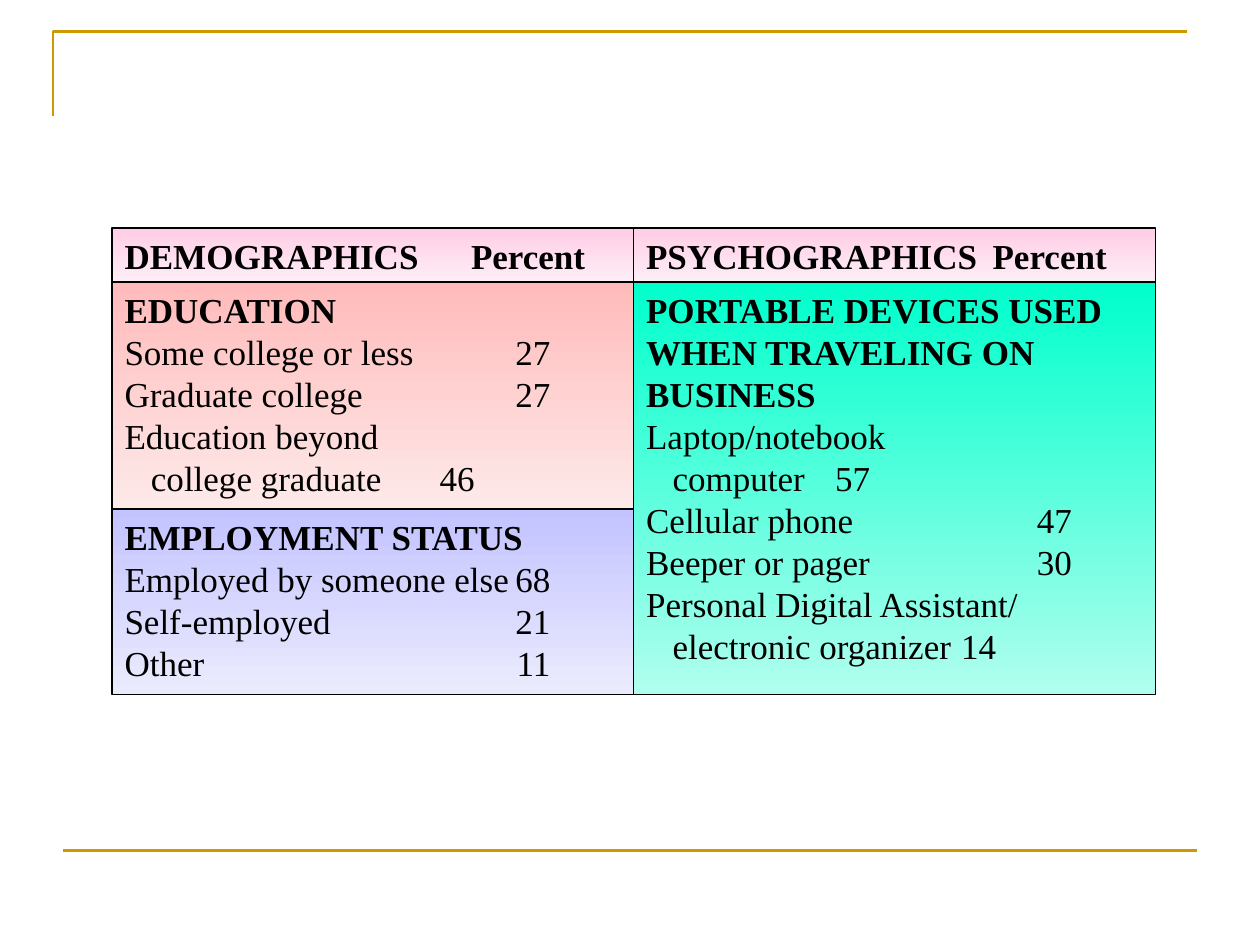
from lxml import etree
from pptx import Presentation
from pptx.dml.color import RGBColor
from pptx.enum.shapes import MSO_CONNECTOR, MSO_SHAPE
from pptx.enum.text import MSO_ANCHOR, PP_ALIGN
from pptx.oxml.ns import qn
from pptx.util import Inches, Pt

RECT, LINE = MSO_SHAPE.RECTANGLE, MSO_CONNECTOR.STRAIGHT
TOP, LEFT = MSO_ANCHOR.TOP, PP_ALIGN.LEFT
FONT, GOLD, BLACK = "Times New Roman", "CC9900", "000000"
HEAD_TAB, ROW_TAB = (2.75, "l"), (3.38, "r")
INDENT = 0.21
PINK = ("FFCDE6", "FEEEF6")

# Rows are (label, percent, indented)
SCHOOL = [("Some college or less", 27, False), ("Graduate college", 27, False),
          ("Education beyond", None, False), ("college graduate", 46, True)]
JOBS = [("Employed by someone else", 68, False), ("Self-employed", 21, False),
        ("Other", 11, False)]
DEVICES = [("Laptop/notebook", None, False), ("computer", 57, True),
           ("Cellular phone", 47, False), ("Beeper or pager", 30, False),
           ("Personal Digital Assistant/", None, False),
           ("electronic organizer", 14, True)]


def color(code):
    return RGBColor.from_string(code)


def add_line(para, text, tab, bold=False, indent=False):
    para.text = text
    para.alignment = LEFT
    font = para.font
    font.name, font.size, font.bold = FONT, Pt(20), bold
    font.color.rgb = color(BLACK)
    props = para._p.get_or_add_pPr()
    if indent:
        props.set("indent", str(Inches(INDENT)))
    tabs = etree.Element(qn("a:tabLst"))
    etree.SubElement(tabs, qn("a:tab"), pos=str(Inches(tab[0])), algn=tab[1])
    props.insert(0, tabs)


def add_panel(slide, box, shades, title, tab, rows=()):
    panel = slide.shapes.add_shape(RECT, *map(Inches, box))
    panel.shadow.inherit = False
    panel.line.color.rgb = color(BLACK)
    panel.line.width = Pt(0.75)
    # Shade from top to bottom
    panel.fill.gradient()
    panel.fill.gradient_angle = 270
    for stop, shade in zip(panel.fill.gradient_stops, shades):
        stop.color.rgb = color(shade)
    # Heading, then one line for each row
    frame = panel.text_frame
    frame.word_wrap = True
    frame.vertical_anchor = TOP
    add_line(frame.paragraphs[0], title, tab, bold=True)
    for label, value, indent in rows:
        text = label if value is None else f"{label}\t{value}"
        add_line(frame.add_paragraph(), text, tab, indent=indent)


def add_grid(slide, left, top, width):
    half = width / 2
    head, upper, lower = 0.43, 1.8, 1.47
    right, body = left + half, top + head
    # Column heads
    add_panel(slide, (left, top, half, head), PINK,
              "DEMOGRAPHICS\tPercent", HEAD_TAB)
    add_panel(slide, (right, top, half, head), PINK,
              "PSYCHOGRAPHICS\tPercent", HEAD_TAB)
    # Left column
    add_panel(slide, (left, body, half, upper), ("FFBBBB", "FEE9E9"),
              "EDUCATION", ROW_TAB, SCHOOL)
    add_panel(slide, (left, body + upper, half, lower), ("C3C3FF", "EBEBFE"),
              "EMPLOYMENT STATUS", ROW_TAB, JOBS)
    # Right column
    add_panel(slide, (right, body, half, upper + lower), ("00FFCC", "B1FEEE"),
              "PORTABLE DEVICES USED WHEN TRAVELING ON BUSINESS",
              ROW_TAB, DEVICES)


def add_frame(slide, left, top, width, drop, base):
    # Corner rule
    x, y = Inches(left), Inches(top)
    pen = slide.shapes.build_freeform(x, y + Inches(drop))
    pen.add_line_segments([(x, y), (x + Inches(width), y)], close=False)
    corner = pen.convert_to_shape()
    corner.shadow.inherit = False
    corner.fill.background()
    # Bottom rule
    start = Inches(left + 0.08)
    rule = slide.shapes.add_connector(
        LINE, start, Inches(base), start + Inches(width), Inches(base))
    etree.SubElement(rule._element.spPr, qn("a:effectLst"))
    for part in (corner, rule):
        part.line.color.rgb = color(GOLD)
        part.line.width = Pt(1.5)


def main():
    deck = Presentation()
    deck.slide_width, deck.slide_height = Inches(10), Inches(7.5)
    slide = deck.slides.add_slide(deck.slide_layouts[6])
    add_frame(slide, 0.42, 0.25, 9, 0.67, 6.75)
    add_grid(slide, 0.89, 1.81, 8.28)
    deck.save("out.pptx")


if __name__ == "__main__":
    main()
